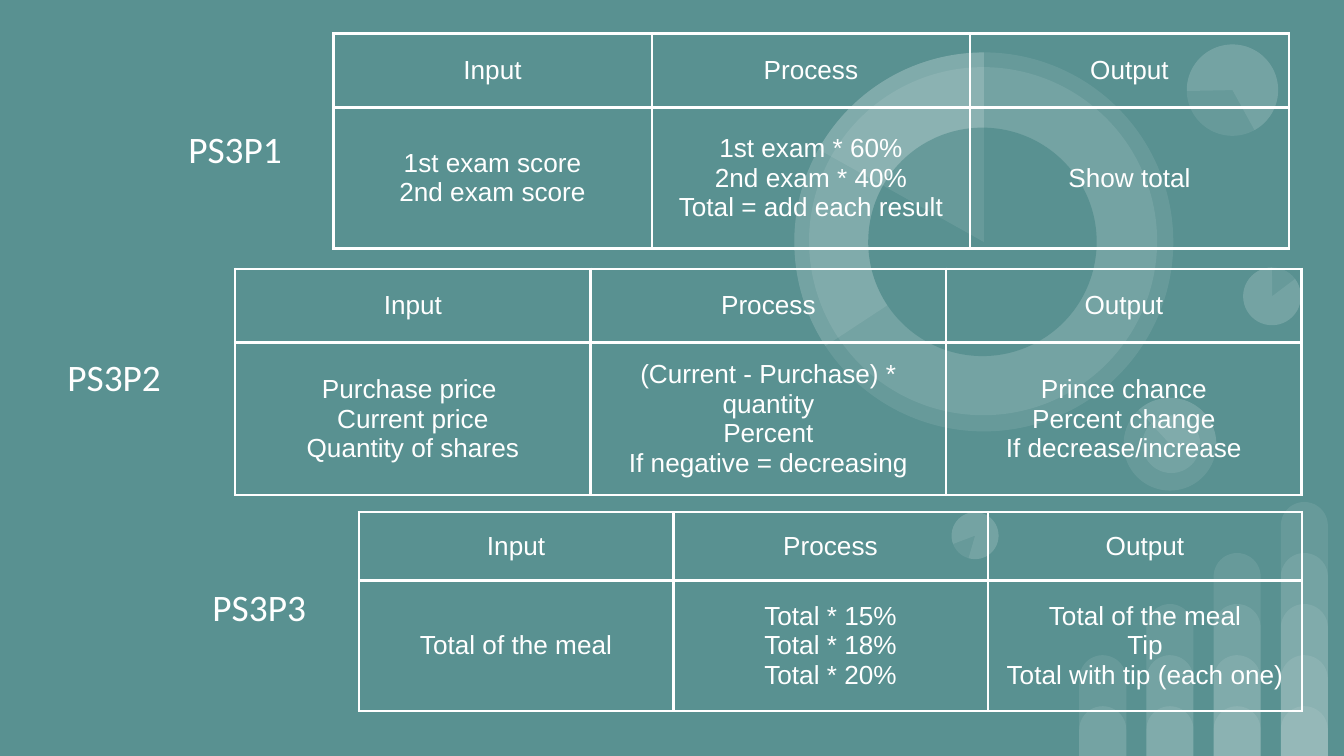
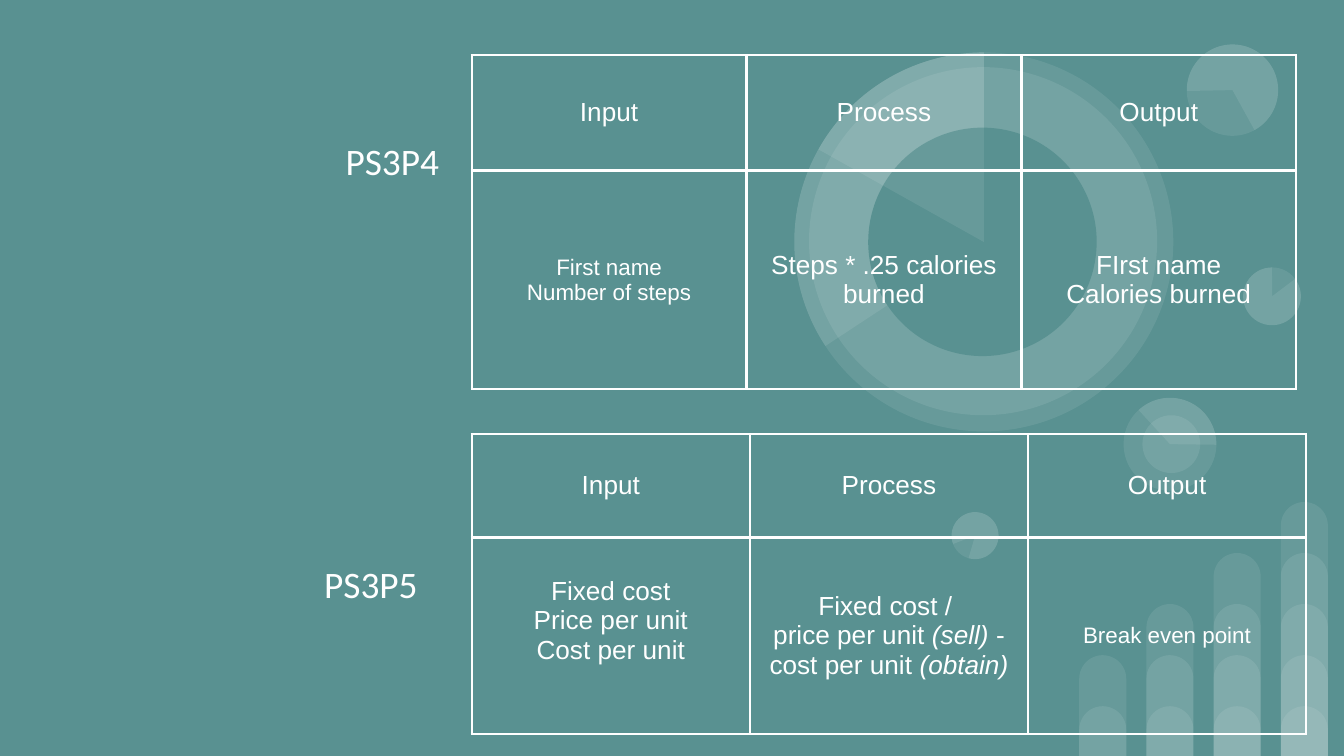
"""Build two slides of input, process and output tables for problem set 3."""
import dataclasses
import typing

import lxml.etree
import pptx
import pptx.dml.color
import pptx.enum.shapes
import pptx.enum.text
import pptx.oxml.ns
import pptx.shapes.autoshape
import pptx.slide
import pptx.table
import pptx.text.text
import pptx.util

PX = 4572
SHAPES = pptx.enum.shapes.MSO_SHAPE
CENTER = pptx.enum.text.PP_ALIGN.CENTER
MIDDLE = pptx.enum.text.MSO_ANCHOR.MIDDLE
qn = pptx.oxml.ns.qn


@dataclasses.dataclass(frozen=True)
class Theme:
    """Colours, fonts and type sizes shared by the slides."""

    ground: str = "599191"
    ink: str = "FFFFFF"
    veil: int = 9
    label_font: str = "Calibri"
    label_size: int = 20
    cell_font: str = "Arial"
    cell_size: int = 14
    small_size: int = 12
    border: float = 1.5


THEME = Theme()


class Disc(typing.NamedTuple):
    """A round ornament; a slice is a pair of degrees, or None for the whole disc."""

    left: int
    top: int
    size: int
    turn: float = 0
    slices: tuple[tuple[float, float] | None, ...] = (None,)
    opaque: bool = False


class Cell(typing.NamedTuple):
    """Lines of one cell; every second part between bars is italic."""

    lines: tuple[str, ...]
    size: int = THEME.cell_size
    drop: int = 0


class Problem(typing.NamedTuple):
    """A problem's label and its table."""

    name: str
    label_at: tuple[int, int]
    table_at: tuple[int, int]
    column: int
    rows: tuple[int, int]
    steps: tuple[Cell, Cell, Cell]


HEADINGS = tuple(Cell((word,)) for word in ("Input", "Process", "Output"))
SLIDE_SIZE = (2000, 1125)
LABEL_SIZE = (368, 150)
INSET = 20

DISCS = (
    Disc(1850, 398, 86, 0, (None, (322.95, 270))),
    Disc(1416, 762, 70, 196.2, (None, (322.95, 270))),
    Disc(1672, 592, 138, 90, (None, (137.41, 270.77))),
    Disc(1700, 618, 86, 90),
    Disc(1766, 66, 136, 215.9, (None, (322.95, 205.23))),
    Disc(1182, 78, 564, 0, (None, (146.69, 270))),
    Disc(1204, 100, 518, 34.1),
    Disc(1292, 190, 340, 34.1, opaque=True),
    Disc(1182, 78, 564, 0, ((209.24, 270),)),
)

SLIDES = (
    (
        Problem("PS3P1", (166, 146), (496, 50), 474, (110, 210), (
            Cell(("1st exam score", "2nd exam score")),
            Cell(("1st exam * 60%", "2nd exam * 40%", "Total = add each result")),
            Cell(("Show total",)),
        )),
        Problem("PS3P2", (-14, 486), (350, 400), 529, (110, 210), (
            Cell(("Purchase price ", "Current price", "Quantity of shares")),
            Cell(("(Current - Purchase) * quantity", "Percent",
                  "If negative = decreasing")),
            Cell(("Prince chance", "Percent change", "If decrease/increase")),
        )),
        Problem("PS3P3", (202, 828), (534, 762), 468, (102, 194), (
            Cell(("Total of the meal",)),
            Cell(("Total * 15%", "Total * 18%", "Total * 20%")),
            Cell(("Total of the meal", "Tip", "Total with tip (each one)")),
        )),
    ),
    (
        Problem("PS3P4", (400, 164), (702, 82), 409, (172, 325), (
            Cell(("First name", "Number of steps"), THEME.small_size),
            Cell(("Steps * .25 calories burned",)),
            Cell(("FIrst name", "Calories burned")),
        )),
        Problem("PS3P5", (368, 794), (702, 646), 414, (154, 292), (
            Cell(("Fixed cost", "Price per unit", "Cost per unit"), drop=44),
            Cell(("Fixed cost / ",
                  "price per unit| (sell)| - cost per unit |(obtain)")),
            Cell(("Break even point",), THEME.small_size),
        )),
    ),
)


def emu(*lengths: int) -> list[int]:
    """Turn px into EMU."""
    return [pptx.util.Emu(length * PX) for length in lengths]


def rgb(value: str) -> pptx.dml.color.RGBColor:
    """Turn a hex value into a colour."""
    return pptx.dml.color.RGBColor.from_string(value)


def apply(target: object, values: dict[str, typing.Any]) -> None:
    """Set each named format value on the target."""
    for name, value in values.items():
        setattr(target, name, value)


def write_line(paragraph: pptx.text.text._Paragraph, line: str, font: str, size: int) -> None:
    """Write a centred line with alternate plain and italic parts."""
    paragraph.alignment = CENTER
    for index, part in enumerate(line.split("|")):
        run = paragraph.add_run()
        run.text = part
        apply(run.font, {"name": font, "size": pptx.util.Pt(size),
                         "bold": False, "italic": index % 2 == 1})
        run.font.color.rgb = rgb(THEME.ink)


def insets(drop: int = 0) -> dict[str, int]:
    """Give the four text margins, with extra room below."""
    margins = {f"margin_{side}": emu(INSET)[0] for side in ("left", "right", "top")}
    return margins | {"margin_bottom": emu(INSET + drop)[0]}


def add_ornament(
    slide: pptx.slide.Slide, kind: SHAPES, box: tuple[int, int, int, int],
    adjustments: tuple[float, ...] = (), turn: float = 0, opaque: bool = False,
) -> pptx.shapes.autoshape.Shape:
    """Draw a veiled ornament, or one that hides what lies behind it."""
    ornament = slide.shapes.add_shape(kind, *emu(*box))
    ornament.shadow.inherit = False
    ornament.rotation = turn
    for index, value in enumerate(adjustments):
        ornament.adjustments[index] = value
    ornament.line.fill.background()
    ornament.fill.solid()
    ornament.fill.fore_color.rgb = rgb(THEME.ground if opaque else THEME.ink)
    if not opaque:
        colour = next(ornament._element.spPr.iter(qn("a:srgbClr")))
        lxml.etree.SubElement(colour, qn("a:alpha"), val=str(THEME.veil * 1000))
    return ornament


def add_backdrop(slide: pptx.slide.Slide) -> None:
    """Draw the rising bars and the discs."""
    for column in range(4):
        for level in range(column + 2):
            height = 74 + 76 * level
            box = (1606 + 100 * column, SLIDE_SIZE[1] - height, 70, height)
            add_ornament(slide, SHAPES.ROUND_2_SAME_RECTANGLE, box, (0.5, 0))
    for disc in DISCS:
        box = (disc.left, disc.top, disc.size, disc.size)
        for wedge in disc.slices:
            kind = SHAPES.PIE if wedge else SHAPES.OVAL
            angles = tuple(degrees * 0.6 for degrees in wedge or ())
            add_ornament(slide, kind, box, angles, disc.turn, disc.opaque)


def add_borders(cell: pptx.table._Cell) -> None:
    """Rule all four sides of a cell."""
    properties = cell._tc.get_or_add_tcPr()
    for side in ("lnL", "lnR", "lnT", "lnB"):
        edge = lxml.etree.SubElement(
            properties, qn(f"a:{side}"), w=str(pptx.util.Pt(THEME.border)))
        fill = lxml.etree.SubElement(edge, qn("a:solidFill"))
        lxml.etree.SubElement(fill, qn("a:srgbClr"), val=THEME.ink)


def fill_cell(cell: pptx.table._Cell, content: Cell) -> None:
    """Format a cell and write its lines."""
    add_borders(cell)
    cell.fill.background()
    apply(cell, insets(content.drop) | {"vertical_anchor": MIDDLE})
    frame = cell.text_frame
    for index, line in enumerate(content.lines):
        paragraph = frame.add_paragraph() if index else frame.paragraphs[0]
        write_line(paragraph, line, THEME.cell_font, content.size)


def add_problem(slide: pptx.slide.Slide, problem: Problem) -> None:
    """Draw a problem's table and label."""
    size = (problem.column * len(HEADINGS), sum(problem.rows))
    table = slide.shapes.add_table(
        len(problem.rows), len(HEADINGS), *emu(*problem.table_at, *size)).table
    apply(table, {"first_row": False, "horz_banding": False})
    for column in table.columns:
        column.width = emu(problem.column)[0]
    for row, height, contents in zip(table.rows, problem.rows, (HEADINGS, problem.steps)):
        row.height = emu(height)[0]
        for cell, content in zip(row.cells, contents):
            fill_cell(cell, content)

    label = slide.shapes.add_textbox(*emu(*problem.label_at, *LABEL_SIZE)).text_frame
    apply(label, insets() | {"word_wrap": True, "vertical_anchor": MIDDLE})
    write_line(label.paragraphs[0], problem.name, THEME.label_font, THEME.label_size)


def main() -> None:
    """Build and save the slides."""
    deck = pptx.Presentation()
    deck.slide_width, deck.slide_height = emu(*SLIDE_SIZE)
    ground = deck.slide_master.background.fill
    ground.solid()
    ground.fore_color.rgb = rgb(THEME.ground)
    for problems in SLIDES:
        slide = deck.slides.add_slide(deck.slide_layouts[6])
        add_backdrop(slide)
        for problem in problems:
            add_problem(slide, problem)
    deck.save("out.pptx")


if __name__ == "__main__":
    main()
